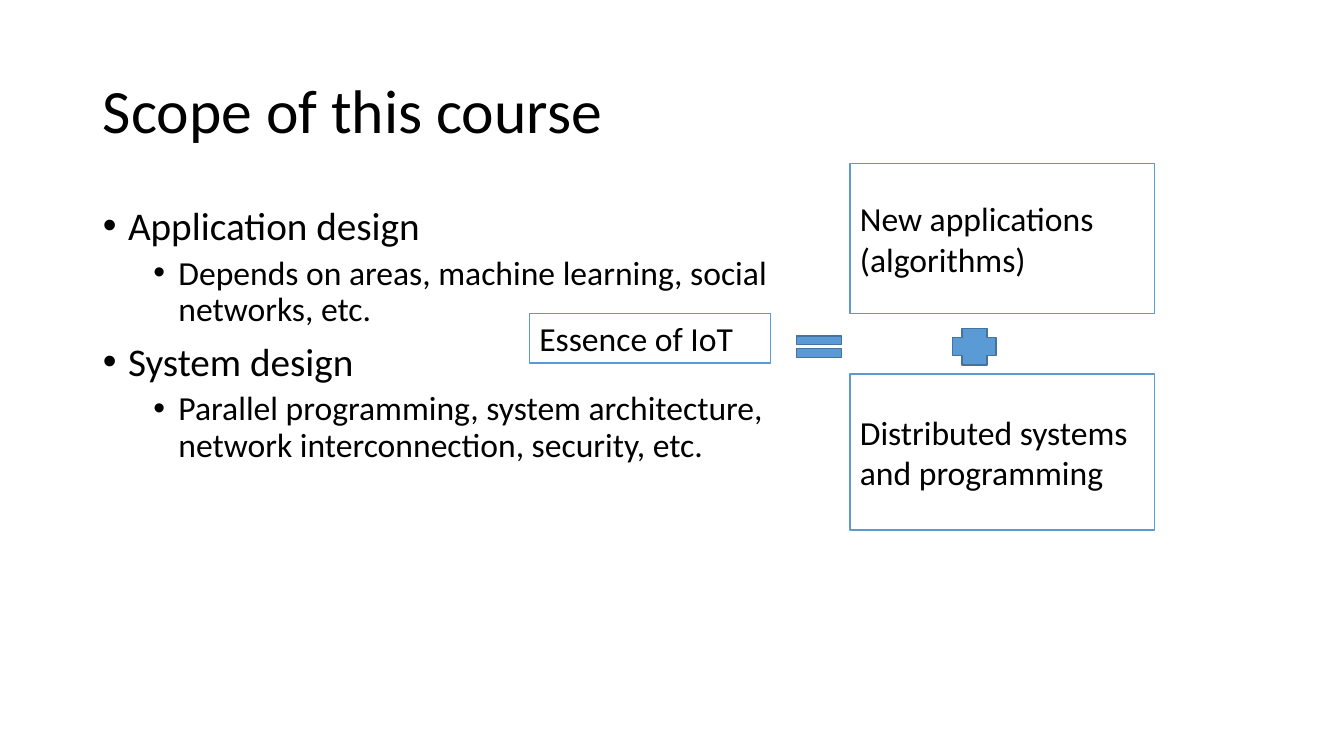
from lxml import etree
from pptx import Presentation
from pptx import util as u
from pptx.dml.color import RGBColor
from pptx.enum import shapes, text
from pptx.oxml.ns import qn

PX = 9144
BLACK = RGBColor(0x00, 0x00, 0x00)
WHITE = RGBColor(0xFF, 0xFF, 0xFF)
BLUE = RGBColor(0x5B, 0x9B, 0xD5)
DARK_BLUE = RGBColor(0x43, 0x73, 0x9E)
FONT = "Calibri"

LEVELS = [
    {"size": 28, "indent": 25, "before": 10},
    {"size": 24, "indent": 75, "before": 5},
]
TOPICS = [
    (0, "Application design"),
    (1, "Depends on areas, machine learning, social networks, etc."),
    (0, "System design"),
    (1, "Parallel programming, system architecture, network interconnection, security, etc."),
]


def px(n):
    return u.Emu(n * PX)


def set_all(obj, values):
    for name, value in values.items():
        setattr(obj, name, value)


def place(sp, box):
    set_all(sp, dict(zip(("left", "top", "width", "height"), map(px, box))))


def write(p, words, size):
    r = p.add_run()
    r.text = words
    set_all(r.font, {"name": FONT, "size": u.Pt(size)})
    r.font.color.rgb = BLACK


def add_title(s, box, words):
    sp = s.shapes.title
    place(sp, box)
    tf = sp.text_frame
    set_all(tf, {"vertical_anchor": text.MSO_ANCHOR.MIDDLE,
                 "auto_size": text.MSO_AUTO_SIZE.NONE})
    p = tf.paragraphs[0]
    set_all(p, {"alignment": text.PP_ALIGN.LEFT, "line_spacing": 0.9})
    write(p, words, 44)


def add_bullet(p, indent):
    pPr = p._p.get_or_add_pPr()
    pPr.set("marL", str(px(indent)))
    pPr.set("indent", str(px(-25)))
    etree.SubElement(pPr, qn("a:buFont")).set("typeface", "Arial")
    etree.SubElement(pPr, qn("a:buChar")).set("char", "•")


def add_topics(s, box, topics):
    sp = s.placeholders[1]
    place(sp, box)
    tf = sp.text_frame
    tf.auto_size = text.MSO_AUTO_SIZE.NONE
    for i, (level, words) in enumerate(topics):
        p = tf.add_paragraph() if i else tf.paragraphs[0]
        style = LEVELS[level]
        add_bullet(p, style["indent"])
        set_all(p, {"level": level, "line_spacing": 0.9,
                    "space_before": u.Pt(style["before"] if i else 0)})
        write(p, words, style["size"])


def add_block(s, kind, box, fill, line, words=None):
    sp = s.shapes.add_shape(kind, *map(px, box))
    sp.shadow.inherit = False
    sp.fill.solid()
    sp.fill.fore_color.rgb = fill
    sp.line.color.rgb = line
    sp.line.width = u.Pt(1)
    if words:
        tf = sp.text_frame
        set_all(tf, {"word_wrap": True, "vertical_anchor": text.MSO_ANCHOR.MIDDLE})
        p = tf.paragraphs[0]
        p.alignment = text.PP_ALIGN.LEFT
        write(p, words, 24)


def add_equation(s, box):
    x, y, w, h = box
    part_w = 302
    part_x = x + w - part_w
    sign_w, sign_y, sign_h = 61, y + 164, 36
    kind = shapes.MSO_SHAPE
    for words, part in (
        ("Essence of IoT", (x, y + 149, 239, 49)),
        ("New applications (algorithms)", (part_x, y, part_w, 149)),
        ("Distributed systems and programming", (part_x, y + h - 155, part_w, 155)),
    ):
        add_block(s, kind.RECTANGLE, part, WHITE, BLUE, words)
    for sign, sign_box in (
        (kind.CROSS, (part_x + 102, sign_y, 43, sign_h)),
        (kind.MATH_EQUAL, (part_x - sign_w, sign_y, sign_w, sign_h)),
    ):
        add_block(s, sign, sign_box, BLUE, DARK_BLUE)


def main():
    prs = Presentation()
    set_all(prs, {"slide_width": px(1333), "slide_height": px(750)})
    s = prs.slides.add_slide(prs.slide_layouts[1])
    add_title(s, (92, 40, 1150, 145), "Scope of this course")
    add_topics(s, (92, 200, 710, 476), TOPICS)
    add_equation(s, (525, 162, 620, 364))
    prs.save("out.pptx")


if __name__ == "__main__":
    main()
